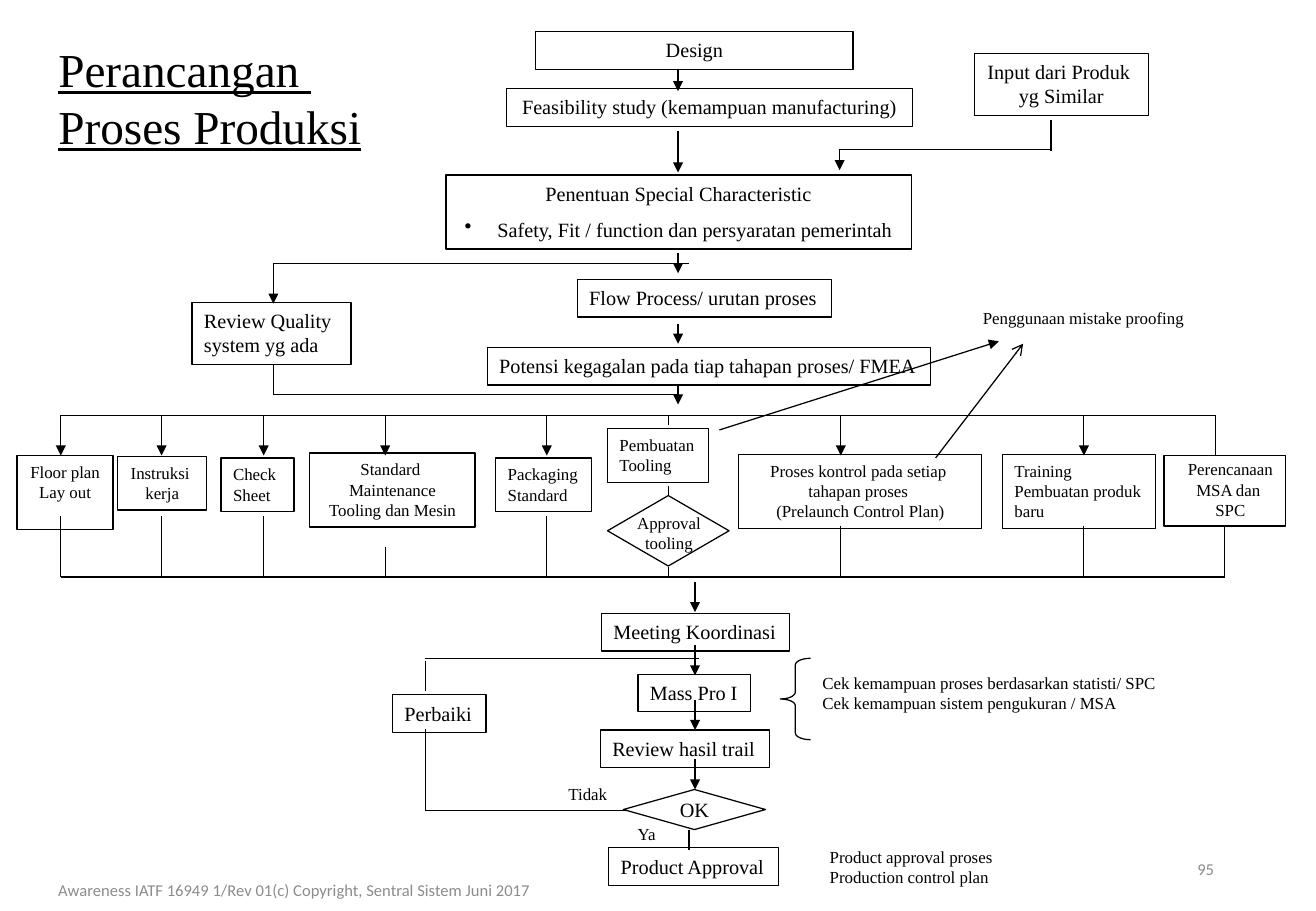
"""Build the production process planning flowchart slide."""
from lxml.etree import SubElement
from pptx import Presentation
from pptx.dml.color import RGBColor
from pptx.enum.shapes import MSO_CONNECTOR as Connector, MSO_SHAPE as Shape
from pptx.enum.text import MSO_ANCHOR as Anchor, MSO_AUTO_SIZE as AutoSize, PP_ALIGN as Align
from pptx.oxml.ns import qn
from pptx.util import Emu, Pt

BLACK = RGBColor(0x00, 0x00, 0x00)
GRAY = RGBColor(0x8C, 0x8C, 0x8C)
PX = 9144
LEFT, CENTER, RIGHT = Align.LEFT, Align.CENTER, Align.RIGHT


def px(*lengths):
    """Turn px lengths into EMU."""
    return [Emu(length * PX) for length in lengths]


class FlowSlide:
    """Hold the slide and its black-on-white Times style."""

    def __init__(self, slide, font="Times New Roman", color=BLACK, weight=0.75):
        """Keep the slide and the shared style."""
        self.slide, self.font, self.color, self.weight = slide, font, color, weight

    def fill_text(self, frame, lines, size, align, wrap=False, anchor=Anchor.TOP,
                  font=None, color=None, underline=None):
        """Fill a text frame, one paragraph per line."""
        frame.word_wrap = wrap
        frame.auto_size = AutoSize.NONE
        frame.vertical_anchor = anchor
        for index, line in enumerate(lines):
            paragraph = frame.paragraphs[0] if index == 0 else frame.add_paragraph()
            paragraph.alignment = align
            run = paragraph.add_run()
            run.text = line
            run.font.name = font or self.font
            run.font.size = Pt(size)
            run.font.underline = underline
            run.font.color.rgb = color or self.color

    def title(self, lines, at):
        """Place the underlined title."""
        title = self.slide.shapes.title
        title.left, title.top, title.width, title.height = px(*at)
        self.fill_text(title.text_frame, lines, 28, LEFT, underline=True)

    def label(self, lines, at, align=LEFT, size=10, **style):
        """Place text without an outline."""
        label = self.slide.shapes.add_textbox(*px(*at))
        self.fill_text(label.text_frame, lines, size, align, **style)

    def step(self, lines, at, size=12, align=LEFT, kind=Shape.RECTANGLE, **style):
        """Place an outlined flowchart step."""
        step = self.slide.shapes.add_shape(kind, *px(*at))
        step.shadow.inherit = False
        step.fill.background()
        step.line.color.rgb = self.color
        step.line.width = Pt(self.weight)
        self.fill_text(step.text_frame, lines, size, align, **style)
        return step

    def bullet(self, paragraph, indent):
        """Give a paragraph a hanging bullet."""
        properties = paragraph._p.get_or_add_pPr()
        properties.set("marL", str(indent * PX))
        properties.set("indent", str(-indent * PX))
        SubElement(properties, qn("a:buChar")).set("char", "•")
        paragraph.space_before = Pt(7)

    def line(self, x1, y1, x2, y2, head=None):
        """Draw a line, with an arrowhead at its end if one is named."""
        line = self.slide.shapes.add_connector(Connector.STRAIGHT, *px(x1, y1, x2, y2))
        line.line.color.rgb = self.color
        line.line.width = Pt(self.weight)
        if head:
            SubElement(line.line._get_or_add_ln(), qn("a:tailEnd")).set("type", head)
        SubElement(line._element.spPr, qn("a:effectLst"))


def main():
    """Build and save the slide."""
    deck = Presentation()
    deck.slide_width, deck.slide_height = px(1083, 750)
    flow = FlowSlide(deck.slides.add_slide(deck.slide_layouts[5]))
    flow.title(["Perancangan ", "Proses Produksi"], (38, 28, 270, 103))

    flow.step(["Design"], (441, 26, 261, 31), align=CENTER, wrap=True)
    flow.step(["Feasibility study (kemampuan manufacturing)"], (417, 73, 334, 31),
              align=CENTER, wrap=True)
    characteristic = flow.step(
        ["Penentuan Special Characteristic",
         "Safety, Fit / function dan persyaratan pemerintah"],
        (367, 144, 383, 61), align=CENTER, wrap=True)
    flow.bullet(characteristic.text_frame.paragraphs[1], 27)
    flow.step(["Input dari Produk ", "yg Similar"], (802, 44, 143, 51), align=CENTER)

    for lines, at in [
        (["Flow Process/ urutan proses"], (475, 230, 209, 31)),
        (["Potensi kegagalan pada tiap tahapan proses/ FMEA"], (401, 286, 365, 31)),
        (["Review Quality", "system yg ada"], (158, 249, 131, 51)),
        (["Meeting Koordinasi"], (495, 505, 155, 31)),
        (["Mass Pro I"], (525, 555, 93, 31)),
        (["Review hasil trail"], (494, 601, 139, 31)),
        (["Product Approval"], (501, 698, 140, 31)),
        (["Perbaiki"], (323, 572, 77, 31)),
    ]:
        flow.step(lines, at)
    flow.step(["OK"], (513, 650, 117, 33), align=CENTER, kind=Shape.DIAMOND,
              anchor=Anchor.MIDDLE)

    for lines, at, align, wrap in [
        (["Floor plan", "Lay out"], (14, 375, 79, 61), CENTER, False),
        (["Instruksi ", "kerja"], (97, 376, 73, 44), CENTER, False),
        (["Check", "Sheet"], (182, 377, 60, 44), LEFT, False),
        (["Standard ", "Maintenance", "Tooling dan Mesin"], (255, 373, 136, 61), CENTER, True),
        (["Packaging", "Standard"], (408, 377, 79, 44), LEFT, False),
        (["Pembuatan", "Tooling"], (500, 353, 83, 44), LEFT, False),
        (["Proses kontrol pada setiap ", "tahapan proses ", "(Prelaunch Control Plan)"],
         (608, 374, 200, 61), CENTER, True),
        (["Training", "Pembuatan produk", "baru"], (825, 374, 126, 61), LEFT, False),
    ]:
        flow.step(lines, at, 10, align, wrap=wrap)
    flow.step([], (500, 408, 100, 58), kind=Shape.DIAMOND)
    flow.step([], (958, 375, 100, 58))
    flow.label(["Approval", "tooling"], (514, 417, 73, 43), CENTER)
    flow.label(["Perencanaan", "MSA dan ", "SPC"], (967, 373, 91, 60), CENTER)

    split, merge = 342, 475
    for x, bottom in [(50, 425), (133, 425), (217, 425), (317, 450),
                      (450, 425), (692, 433), (892, 433)]:
        flow.line(x, split, x, 375, "triangle")
        flow.line(x, bottom, x, merge)
    for top, bottom in [(split, 350), (400, 408), (467, merge)]:
        flow.line(550, top, 550, bottom)

    for top, bottom in [(58, 75), (108, 142), (208, 225), (267, 283), (317, 333)]:
        flow.line(558, top, 558, bottom, "triangle")
    for top in (479, 531, 576, 625):
        flow.line(572, top, 572, top + 25, "triangle")

    for ends in [
        (50, split, 1000, split), (50, merge, 1008, merge),
        (1000, split, 1000, 375), (1008, merge, 1008, 433),
        (865, 99, 865, 124), (691, 123, 866, 123),
        (225, 300, 225, 325), (225, 325, 558, 325), (567, 217, 225, 217),
        (350, 544, 350, 569), (350, 600, 350, 667), (517, 667, 350, 667),
        (350, 542, 575, 542), (567, 683, 567, 700),
    ]:
        flow.line(*ends)
    flow.line(691, 123, 691, 140, "triangle")
    flow.line(225, 217, 225, 250, "triangle")
    flow.line(592, 354, 822, 281, "triangle")
    flow.line(770, 377, 842, 283, "arrow")

    brace = flow.step([], (642, 542, 25, 67), kind=Shape.LEFT_BRACE)
    brace.adjustments[0] = 0.22
    for lines, at in [
        (["Penggunaan mistake proofing"], (799, 248, 186, 27)),
        (["Cek kemampuan proses berdasarkan statisti/ SPC",
          "Cek kemampuan sistem pengukuran / MSA"], (667, 549, 295, 60)),
        (["Product approval proses", "Production control plan"], (673, 692, 155, 43)),
        (["Tidak"], (458, 640, 53, 27)),
        (["Ya"], (515, 673, 36, 27)),
    ]:
        flow.label(lines, at)

    for text, at, align in [
        ("95", (765, 695, 244, 40), RIGHT),
        ("Awareness IATF 16949 1/Rev 01(c) Copyright, Sentral Sistem Juni 2017",
         (0, 713, 484, 40), CENTER),
    ]:
        flow.label([text], at, align, 9.8, wrap=True, anchor=Anchor.MIDDLE,
                   font="Calibri", color=GRAY)
    deck.save("out.pptx")


if __name__ == "__main__":
    main()
